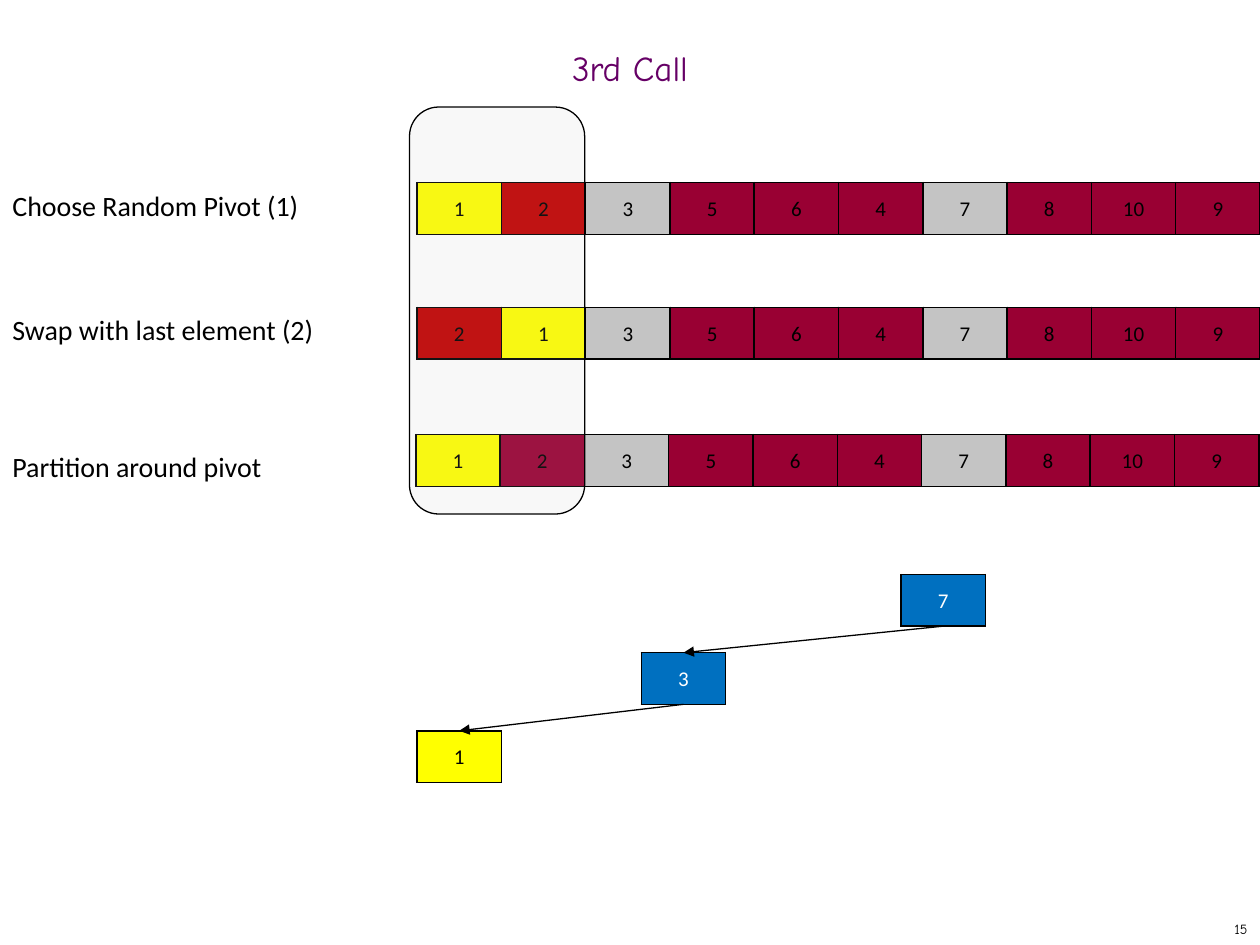
from pptx import Presentation
from pptx.dml.color import RGBColor
from pptx.enum.shapes import MSO_CONNECTOR, MSO_SHAPE
from pptx.enum.text import MSO_ANCHOR, PP_ALIGN
from pptx.oxml.ns import qn
from pptx.util import Inches, Pt
from lxml.etree import SubElement

BLACK = RGBColor(0x00, 0x00, 0x00)
WHITE = RGBColor(0xFF, 0xFF, 0xFF)
PURPLE = RGBColor(0x66, 0x00, 0x66)
YELLOW = RGBColor(0xFF, 0xFF, 0x00)
RED = RGBColor(0xC0, 0x00, 0x00)
GRAY = RGBColor(0xC4, 0xC4, 0xC4)
LIGHT_GRAY = RGBColor(0xC0, 0xC0, 0xC0)
MAROON = RGBColor(0x99, 0x00, 0x33)
BLUE = RGBColor(0x00, 0x70, 0xC0)

CELL_WIDTH, CELL_HEIGHT = 0.67, 0.41
CELL_PITCH = 0.669
SETTLED_PIVOTS = (3, 7)
REMAINING_VALUES = (3, 5, 6, 4, 7, 8, 10, 9)

# label, label top, array left, array top, (value, colour) of the active cells
STEPS = (
    ("Choose Random Pivot (1)", 1.45, 3.31, 1.45, ((1, YELLOW), (2, RED))),
    ("Swap with last element (2)", 2.43, 3.31, 2.44, ((2, RED), (1, YELLOW))),
    ("Partition around pivot", 3.52, 3.3, 3.45, ((1, YELLOW), (2, MAROON))),
)
# value, left, top, fill, text colour
TREE_NODES = (
    (7, 7.15, 4.56, BLUE, WHITE),
    (3, 5.09, 5.18, BLUE, WHITE),
    (1, 3.31, 5.8, YELLOW, BLACK),
)


def write_text(paragraph, text, size, color, font="Calibri", **paragraph_format):
    run = paragraph.add_run()
    run.text = text
    for name, value in {"name": font, "size": Pt(size)}.items():
        setattr(run.font, name, value)
    run.font.color.rgb = color
    for name, value in paragraph_format.items():
        setattr(paragraph, name, value)


def add_text(slide, text, box, size, color=BLACK, font="Calibri",
             frame_format=None, **paragraph_format):
    shape = slide.shapes.add_textbox(*map(Inches, box))
    for name, value in {"word_wrap": True, **(frame_format or {})}.items():
        setattr(shape.text_frame, name, value)
    write_text(shape.text_frame.paragraphs[0], text, size, color, font,
               **paragraph_format)


def add_borders(cell):
    properties = cell._tc.get_or_add_tcPr()
    for index, side in enumerate(("lnL", "lnR", "lnT", "lnB")):
        border = SubElement(properties, qn(f"a:{side}"), w=str(Pt(1)))
        fill = SubElement(border, qn("a:solidFill"))
        SubElement(fill, qn("a:srgbClr"), val=str(BLACK))
        properties.insert(index, border)


def add_number_cell(slide, value, left, top, fill, color=BLACK):
    """Each number is a one-cell table of its own."""
    table = slide.shapes.add_table(
        1, 1, Inches(left), Inches(top), Inches(CELL_WIDTH), Inches(CELL_HEIGHT)
    ).table
    cell = table.cell(0, 0)
    cell_format = {
        "vertical_anchor": MSO_ANCHOR.MIDDLE,
        "margin_left": Inches(0.01),
        "margin_right": Inches(0.01),
        "margin_top": Inches(0.01),
        "margin_bottom": 0,
    }
    for name, setting in cell_format.items():
        setattr(cell, name, setting)
    cell.fill.solid()
    cell.fill.fore_color.rgb = fill
    add_borders(cell)
    write_text(cell.text_frame.paragraphs[0], str(value), 12, color,
               alignment=PP_ALIGN.CENTER)


def add_array(slide, left, top, active_cells):
    remaining = [(value, GRAY if value in SETTLED_PIVOTS else MAROON)
                 for value in REMAINING_VALUES]
    for index, (value, fill) in enumerate([*active_cells, *remaining]):
        add_number_cell(slide, value, left + index * CELL_PITCH, top, fill)


def add_active_range(slide):
    """Translucent frame over the part of the array being sorted."""
    shape = slide.shapes.add_shape(
        MSO_SHAPE.ROUNDED_RECTANGLE, *map(Inches, (3.25, 0.85, 1.39, 3.23)))
    shape.shadow.inherit = False
    shape.fill.solid()
    shape.fill.fore_color.rgb = LIGHT_GRAY
    color = shape._element.spPr.find(f"{qn('a:solidFill')}/{qn('a:srgbClr')}")
    SubElement(color, qn("a:alpha"), val="10000")
    shape.line.color.rgb = BLACK
    shape.line.width = Pt(0.75)


def add_arrow(slide, start, end):
    connector = slide.shapes.add_connector(
        MSO_CONNECTOR.STRAIGHT, *map(Inches, (*start, *end)))
    connector.line.color.rgb = BLACK
    connector.line.width = Pt(0.75)
    SubElement(connector.line._get_or_add_ln(), qn("a:tailEnd"), type="triangle")
    SubElement(connector._element.spPr, qn("a:effectLst"))


def add_tree(slide):
    for node in TREE_NODES:
        add_number_cell(slide, *node)
    for parent, child in zip(TREE_NODES, TREE_NODES[1:]):
        add_arrow(slide,
                  (parent[1] + CELL_WIDTH / 2, parent[2] + CELL_HEIGHT),
                  (child[1] + CELL_WIDTH / 2, child[2]))


def main():
    presentation = Presentation()
    presentation.slide_width = Inches(10)
    presentation.slide_height = Inches(7.5)
    slide = presentation.slides.add_slide(presentation.slide_layouts[6])

    middle = {"vertical_anchor": MSO_ANCHOR.MIDDLE}
    add_text(slide, "15", (7.92, 7.25, 2.08, 0.25), 8, font="Comic Neue",
             frame_format={**middle, "word_wrap": False},
             alignment=PP_ALIGN.RIGHT)
    add_text(slide, "3rd Call", (0, 0.33, 10, 0.5), 20, PURPLE, "Comic Neue",
             frame_format=middle, alignment=PP_ALIGN.CENTER, line_spacing=0.7)
    for label, label_top, left, top, active_cells in STEPS:
        add_text(slide, label, (0, label_top, 2.62, 0.37), 16)
        add_array(slide, left, top, active_cells)
    add_active_range(slide)
    add_tree(slide)
    presentation.save("out.pptx")


if __name__ == "__main__":
    main()
